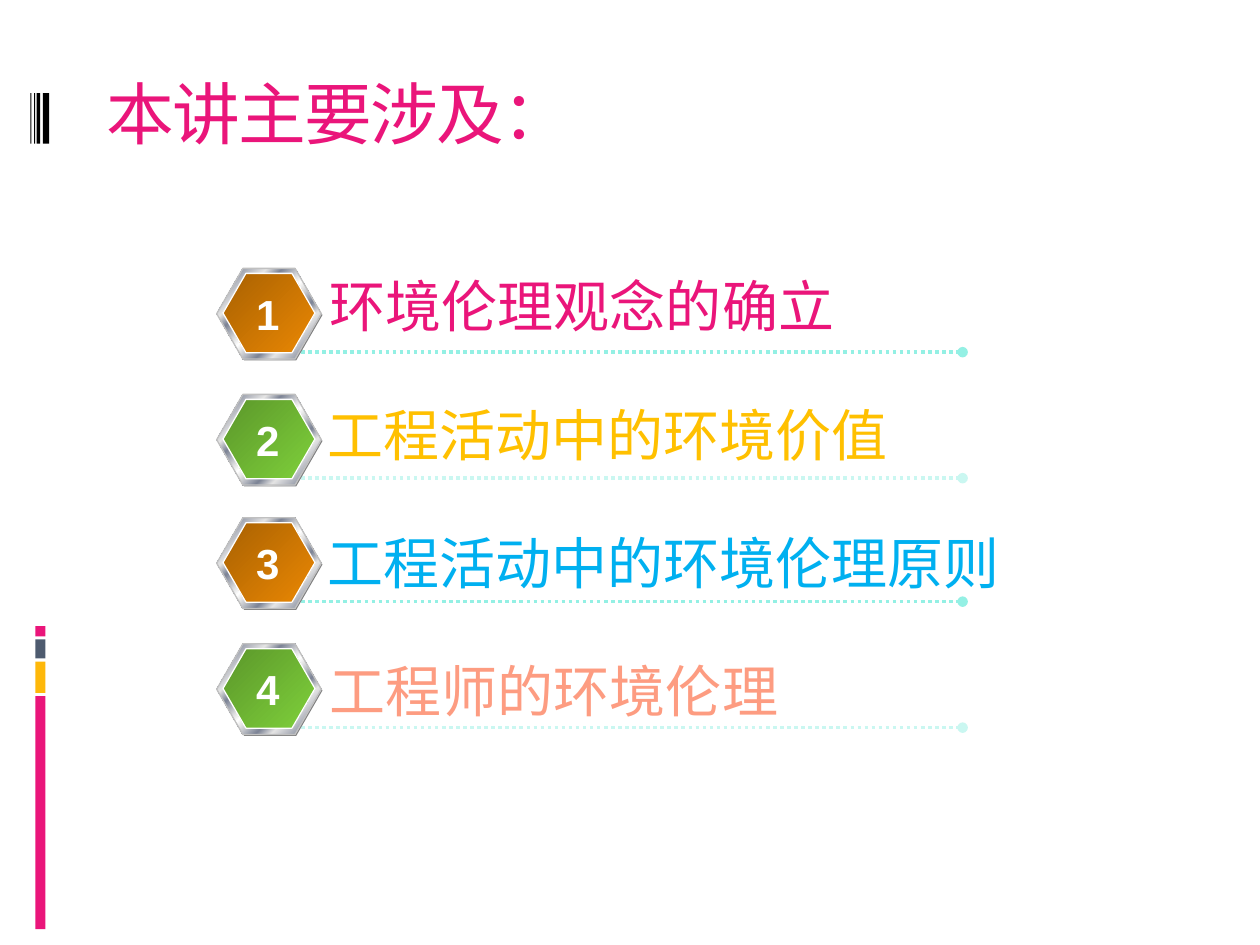
from lxml.etree import SubElement
from pptx import Presentation
from pptx.dml.color import RGBColor
from pptx.enum.dml import MSO_LINE
from pptx.enum.shapes import MSO_CONNECTOR, MSO_SHAPE
from pptx.enum.text import MSO_ANCHOR, PP_ALIGN
from pptx.oxml.ns import qn
from pptx.util import Inches, Pt

COLORS = {
    "pink": "EA157A", "amber": "FEB80A", "slate": "4E5B6F", "black": "000000",
    "white": "FFFFFF", "shade": "808080", "rim": "C0C0C0", "silver": "E6E6E6",
    "steel": "7D8496", "brown": "A86102", "orange": "EB8803", "moss": "5B962A",
    "green": "7FD13B", "teal": "94F0E4", "pale": "CAF7F1", "yellow": "FFC000",
    "blue": "00B0F0", "salmon": "FD9C81",
}
CJK, LATIN = "Noto Sans CJK SC", "Arial"
COLS, ROWS = 1000, 750          # grid laid over the slide
CELL = Inches(10) // COLS
METAL = [(0, "silver"), (8, "steel"), (26, "silver"), (34, "steel"),
         (46, "silver"), (50, "white"), (54, "silver"), (66, "steel"),
         (74, "silver"), (92, "steel"), (100, "silver")]
BROWN = [(0, "brown"), (100, "orange")]
GREEN = [(0, "moss"), (100, "green")]
TOPICS = [("环境伦理观念的确立", "pink", 252, 420),
          ("工程活动中的环境价值", "yellow", 250, 469),
          ("工程活动中的环境伦理原则", "blue", 250, 559),
          ("工程师的环境伦理", "salmon", 252, 376)]


def rgb(name):
    return RGBColor.from_string(COLORS[name])


def cells(*counts):
    return [round(n * CELL) for n in counts]


def set_gradient(sp, stops):
    """Fill a shape with a diagonal gradient of (percent, colour) stops."""
    sp.fill.gradient()
    grad = sp._element.spPr.find(qn("a:gradFill"))
    for child in list(grad):
        grad.remove(child)
    gs_list = SubElement(grad, qn("a:gsLst"))
    for percent, color in stops:
        gs = SubElement(gs_list, qn("a:gs"), pos=str(percent * 1000))
        SubElement(gs, qn("a:srgbClr"), val=COLORS[color])
    SubElement(grad, qn("a:lin"), ang=str(45 * 60000), scaled="0")


def add_block(s, kind, box, fill, line=None):
    sp = s.shapes.add_shape(kind, *cells(*box))
    sp.shadow.inherit = False
    if isinstance(fill, str):
        sp.fill.solid()
        sp.fill.fore_color.rgb = rgb(fill)
    else:
        set_gradient(sp, fill)
    if line:
        sp.line.color.rgb = rgb(line)
        sp.line.width = Pt(0.75)
    else:
        sp.line.fill.background()
    return sp


def add_text(s, text, box, size, color, font=CJK, bold=False,
             align=PP_ALIGN.LEFT, wrap=False, top=0, left=10, right=0, spacing=0):
    tf = s.shapes.add_textbox(*cells(*box)).text_frame
    tf.word_wrap = wrap
    tf.vertical_anchor = MSO_ANCHOR.MIDDLE
    tf.margin_left, tf.margin_right = cells(left, right)
    tf.margin_top, tf.margin_bottom = cells(top, 0)
    p = tf.paragraphs[0]
    p.alignment = align
    r = p.add_run()
    r.text = text
    r.font.size, r.font.bold, r.font.name = Pt(size), bold, font
    r.font.color.rgb = rgb(color)
    rPr = r._r.get_or_add_rPr()
    SubElement(rPr, qn("a:ea"), typeface=font)
    if spacing:
        rPr.set("spc", str(spacing * 100))


def add_color_bar(s, x, y, w):
    """Stack the coloured blocks downwards from the top of the bar."""
    for color, height in (("pink", 8), ("slate", 15), ("amber", 25), ("pink", 185)):
        add_block(s, MSO_SHAPE.RECTANGLE, (x, y, w, height), color)
        y += height + 2.5


def add_barcode(s, x, y, h):
    for dx, width in ((0, 1), (3, 1), (5, 3), (10, 5)):
        add_block(s, MSO_SHAPE.RECTANGLE, (x + dx, y, width, h), "black")


def add_hexagon(s, x, y, w, h, fill, line=None):
    sp = add_block(s, MSO_SHAPE.HEXAGON, (x, y, w, h), fill, line)
    sp.adjustments[0] = 0.289


def add_badge(s, x, y, w, h, number, fill):
    add_hexagon(s, x + 1, y + 1, w, h, "shade")
    add_hexagon(s, x, y, w, h, METAL, "rim")
    add_hexagon(s, x + 5, y + 4, w - 10, h - 9, fill, "white")
    add_text(s, str(number), (x + 21, y + 11, 39, 50), 24, "white", font=LATIN,
             bold=True, align=PP_ALIGN.CENTER, right=10)


def add_dotted_line(s, x, y, w, color):
    """Draw a dotted rule that ends in a round dot."""
    line = s.shapes.add_connector(MSO_CONNECTOR.STRAIGHT, *cells(x, y, x + w, y))
    line.line.color.rgb = rgb(color)
    line.line.width = Pt(2)
    line.line.dash_style = MSO_LINE.ROUND_DOT
    SubElement(line.line._get_or_add_ln(), qn("a:tailEnd"), type="oval")
    SubElement(line._element.spPr, qn("a:effectLst"))


def add_topics(s, x, y, pitch):
    for i, (text, color, text_x, text_w) in enumerate(TOPICS):
        top = y + i * pitch - (2 if i > 1 else 0)
        fill, rule = ((BROWN, "teal"), (GREEN, "pale"))[i % 2]
        add_dotted_line(s, x + 67, top + 66.5, 525, rule)
        add_badge(s, x, top, 83, 72, i + 1, fill)
        add_text(s, text, (text_x, y - 2 + i * 101.7, text_w, 63), 32, color)


def main():
    prs = Presentation()
    prs.slide_width, prs.slide_height = cells(COLS, ROWS)
    s = prs.slides.add_slide(prs.slide_layouts[6])
    add_color_bar(s, 28, 497, 8)
    add_barcode(s, 24, 74, 40)
    add_text(s, "本讲主要涉及：", (75, 52, 886, 62), 38.7, "pink",
             wrap=True, top=13, spacing=-1)
    add_topics(s, 172, 213, 100)
    prs.save("out.pptx")


if __name__ == "__main__":
    main()
